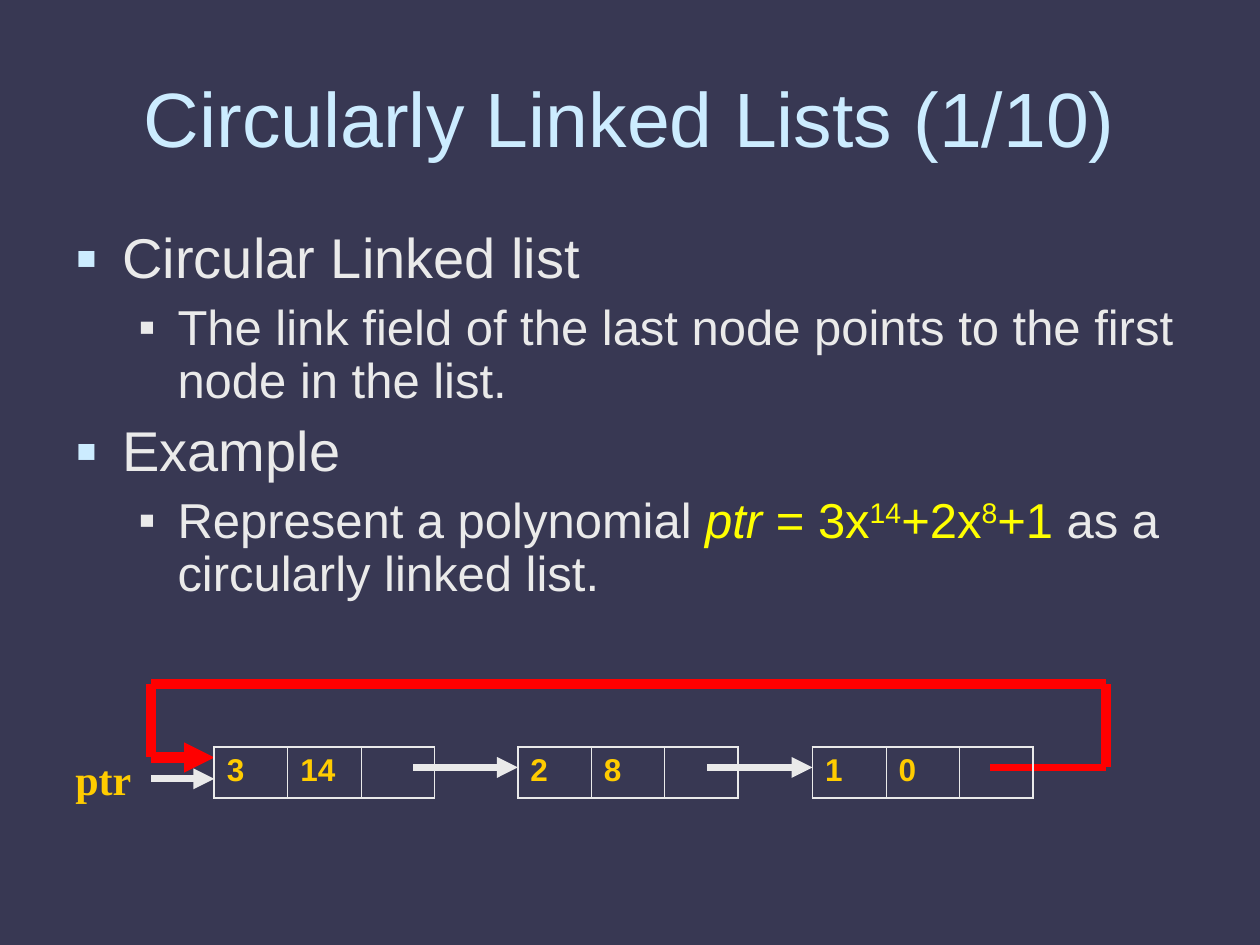
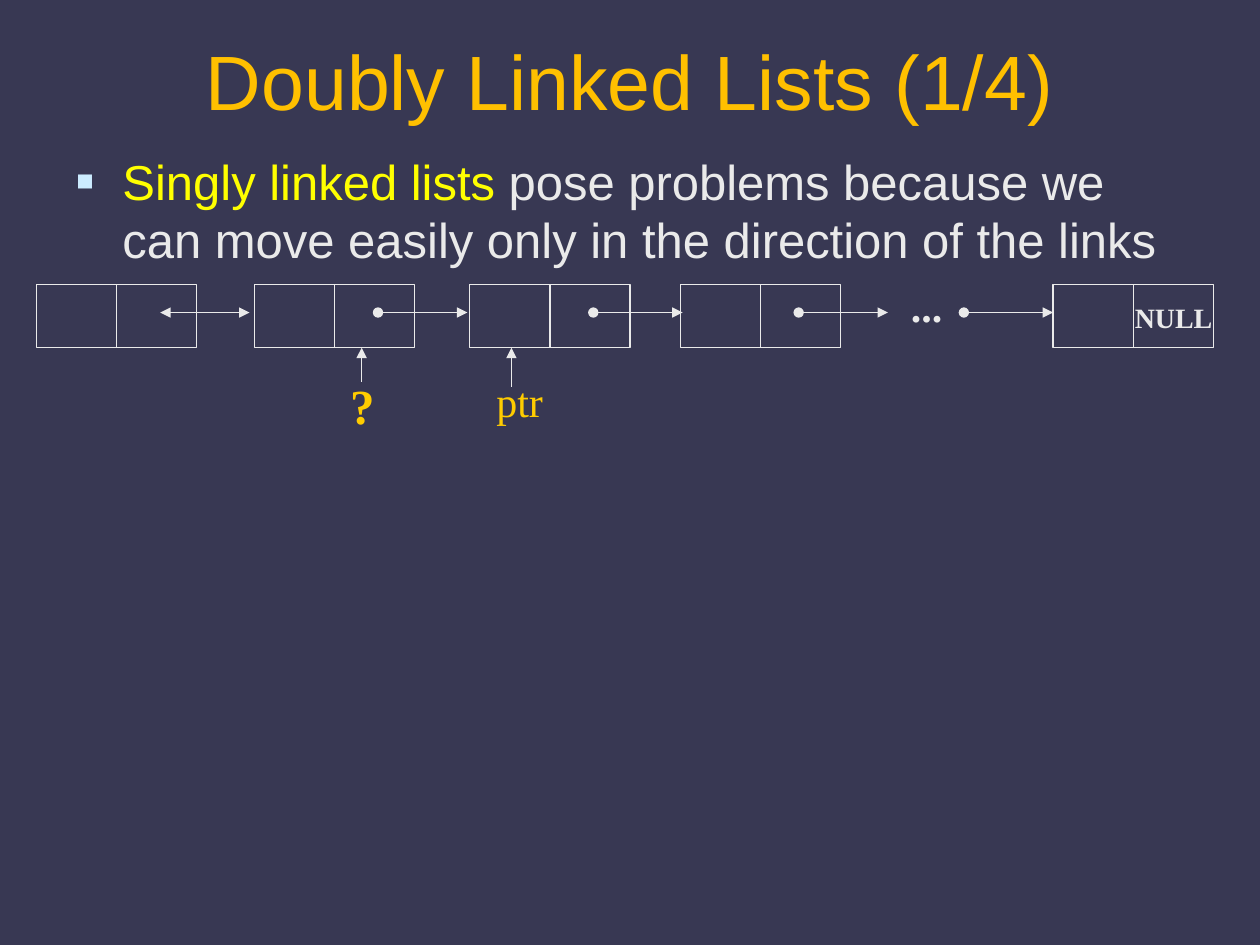
from lxml import etree
from pptx import Presentation
from pptx.dml.color import RGBColor
from pptx.enum.shapes import MSO_CONNECTOR, MSO_SHAPE
from pptx.enum.text import MSO_ANCHOR, PP_ALIGN
from pptx.oxml.ns import qn
from pptx.util import Cm, Pt

STRAIGHT = MSO_CONNECTOR.STRAIGHT
RECTANGLE = MSO_SHAPE.RECTANGLE
MIDDLE = MSO_ANCHOR.MIDDLE
LEFT, CENTER = PP_ALIGN.LEFT, PP_ALIGN.CENTER
TOP_SIDE, BOTTOM_SIDE = 0, 2

COLORS = {
    "background": "383853",
    "title": "CCECFF",
    "title_gold": "FFC000",
    "text": "EAEAEA",
    "highlight": "FFFF00",
    "label": "FFCC00",
    "loop": "FF0000",
}
SANS, SERIF = "Arial", "Times New Roman"

# Indents in cm; bullet size in percent of the text
LEVELS = [
    {"margin": 0.95, "indent": -0.95, "bullet": "title", "percent": 115},
    {"margin": 2.06, "indent": -0.79, "bullet": "text", "percent": 100},
]


def rgb(name):
    return RGBColor.from_string(COLORS[name])


def add_slide(presentation):
    slide = presentation.slides.add_slide(presentation.slide_layouts[6])
    slide.background.fill.solid()
    slide.background.fill.fore_color.rgb = rgb("background")
    return slide


def add_run(paragraph, text, size, color, font=SANS, bold=False, italic=False, raised=False):
    run = paragraph.add_run()
    run.text = text
    run.font.name = font
    run.font.size = Pt(size)
    run.font.bold = bold
    run.font.italic = italic
    run.font.color.rgb = rgb(color)
    if raised:
        run.font._element.set("baseline", "30000")


def add_text_frame(slide, left, top, width, height, wrap=True):
    box = slide.shapes.add_textbox(Cm(left), Cm(top), Cm(width), Cm(height))
    box.text_frame.word_wrap = wrap
    return box.text_frame


def add_title(slide, text, top, height, color):
    frame = add_text_frame(slide, 1.27, top, 22.86, height)
    frame.vertical_anchor = MIDDLE
    paragraph = frame.paragraphs[0]
    paragraph.alignment = CENTER
    add_run(paragraph, text, 44, color)


def set_bullet(paragraph, level):
    style = LEVELS[level]
    properties = paragraph._p.get_or_add_pPr()
    properties.set("marL", str(Cm(style["margin"])))
    properties.set("indent", str(Cm(style["indent"])))
    color = etree.SubElement(properties, qn("a:buClr"))
    etree.SubElement(color, qn("a:srgbClr"), val=COLORS[style["bullet"]])
    etree.SubElement(properties, qn("a:buSzPct"), val=str(style["percent"] * 1000))
    etree.SubElement(properties, qn("a:buFont"), typeface=SANS)
    etree.SubElement(properties, qn("a:buChar"), char="▪")


def add_body(slide, top, height, items, line_spacing=1.0):
    """Each item is (level, size, runs); a run is (text, color, options)."""
    frame = add_text_frame(slide, 1.27, top, 22.86, height)
    for index, (level, size, runs) in enumerate(items):
        paragraph = frame.add_paragraph() if index else frame.paragraphs[0]
        set_bullet(paragraph, level)
        paragraph.line_spacing = line_spacing
        if index:
            paragraph.space_before = Pt(size / 4)
        for text, color, options in runs:
            add_run(paragraph, text, size, color, **options)


def add_label(slide, text, left, top, width, height, size=24, color="label",
              bold=True, alignment=CENTER):
    frame = add_text_frame(slide, left, top, width, height, wrap=False)
    paragraph = frame.paragraphs[0]
    paragraph.alignment = alignment
    add_run(paragraph, text, size, color, SERIF, bold)


def add_line(shapes, start, end, color="text", width=0.75, head=None, tail=None):
    line = shapes.add_connector(STRAIGHT, *map(Cm, start + end))
    line.line.color.rgb = rgb(color)
    line.line.width = Pt(width)
    outline = line.line._get_or_add_ln()
    for tag, kind in (("a:headEnd", head), ("a:tailEnd", tail)):
        if kind:
            etree.SubElement(outline, qn(tag), type=kind)
    etree.SubElement(line._element.spPr, qn("a:effectLst"))
    return line


def set_borders(cell, left, right):
    properties = cell._tc.get_or_add_tcPr()
    widths = (("a:lnL", left), ("a:lnR", right), ("a:lnT", 1.08), ("a:lnB", 1.08))
    for index, (tag, width) in enumerate(widths):
        border = etree.Element(qn(tag), w=str(Pt(width)))
        fill = etree.SubElement(border, qn("a:solidFill"))
        etree.SubElement(fill, qn("a:srgbClr"), val=COLORS["text"])
        properties.insert(index, border)


def add_term_node(slide, left, coefficient, exponent):
    """Table row with coefficient, exponent and an empty link field."""
    values = (coefficient, exponent, "")
    frame = slide.shapes.add_table(1, 3, Cm(left), Cm(15.06), Cm(4.44), Cm(1.02))
    table = frame.table
    table.first_row = table.horz_banding = False
    for index, value in enumerate(values):
        table.columns[index].width = Cm(1.48)
        cell = table.cell(0, index)
        cell.fill.background()
        set_borders(cell, 0.45 if index else 1.08, 1.08 if index == 2 else 0.45)
        paragraph = cell.text_frame.paragraphs[0]
        paragraph.font.size = Pt(18)
        if value:
            add_run(paragraph, value, 18, "label", bold=True)


def add_split_node(slide, left):
    """Outlined box halved by a divider."""
    group = slide.shapes.add_group_shape()
    box = group.shapes.add_shape(RECTANGLE, Cm(left), Cm(5.74), Cm(3.23), Cm(1.27))
    box.shadow.inherit = False
    box.fill.background()
    box.line.color.rgb = rgb("text")
    box.line.width = Pt(0.75)
    middle = left + 3.23 / 2
    divider = add_line(group.shapes, (middle, 5.74), (middle, 7.01))
    divider.begin_connect(box, TOP_SIDE)
    divider.end_connect(box, BOTTOM_SIDE)


def build_circular_slide(presentation):
    slide = add_slide(presentation)
    add_title(slide, "Circularly Linked Lists (1/10)", 0.76, 3.18, "title")
    add_body(slide, 4.52, 8.2, [
        (0, 32, [("Circular Linked list", "text", {})]),
        (1, 28, [("The link field of the last node points to the first node in the list.",
                  "text", {})]),
        (0, 32, [("Example", "text", {})]),
        (1, 28, [
            ("Represent a polynomial ", "text", {}),
            ("ptr", "highlight", {"italic": True}),
            (" = 3x", "highlight", {}),
            ("14", "highlight", {"raised": True}),
            ("+2x", "highlight", {}),
            ("8", "highlight", {"raised": True}),
            ("+1 ", "highlight", {}),
            ("as a circularly linked list.", "text", {}),
        ]),
    ], line_spacing=0.9)

    # Links between neighbouring nodes
    for start, end in ((8.33, 10.44), (14.25, 16.38)):
        add_line(slide.shapes, (start, 15.47), (end, 15.47), width=4, tail="triangle")

    # Loop from the last node back to the first
    corners = [(19.96, 15.47), (22.3, 15.47), (22.3, 13.79),
               (3.05, 13.79), (3.05, 15.27), (4.32, 15.27)]
    for index, (start, end) in enumerate(zip(corners, corners[1:])):
        add_line(slide.shapes, start, end, "loop", 5.75 if index else 4.25,
                 tail="triangle" if end == corners[-1] else None)

    # Entry pointer and nodes
    add_line(slide.shapes, (3.05, 15.7), (4.32, 15.7), width=4, tail="triangle")
    add_label(slide, "ptr", 1.27, 15.06, 1.78, 1.27, alignment=LEFT)
    for node in ((4.32, "3", "14"), (10.44, "2", "8"), (16.38, "1", "0")):
        add_term_node(slide, *node)


def build_doubly_slide(presentation):
    slide = add_slide(presentation)
    add_title(slide, "Doubly Linked Lists (1/4)", 0.53, 2.16, "title_gold")
    add_body(slide, 2.92, 15.6, [
        (0, 28, [
            ("Singly linked lists", "highlight", {}),
            (" pose problems because we can move easily only in the direction of the links",
             "text", {}),
        ]),
    ])

    # Chain of nodes and links
    for left in (0.74, 5.13, 9.47, 13.72, 21.23):
        add_split_node(slide, left)
    for index, start in enumerate((3.23, 7.62, 11.96, 16.1, 19.43)):
        add_line(slide.shapes, (start, 6.3), (start + 1.8, 6.3),
                 head="oval" if index else "triangle", tail="triangle")
    add_label(slide, "...", 18.11, 5.54, 1.14, 1.27, color="text")
    add_label(slide, "NULL", 22.38, 5.94, 2.56, 0.94, size=16, color="text")

    # Pointers below the chain
    for x, bottom in ((10.31, 7.8), (7.29, 7.7)):
        add_line(slide.shapes, (x, bottom), (x, 7.01), tail="triangle")
    add_label(slide, "ptr", 9.75, 7.44, 1.45, 1.27, bold=False)
    add_label(slide, "?", 6.81, 7.44, 0.99, 1.45, size=28)


def main():
    presentation = Presentation()
    presentation.slide_width = Cm(25.4)
    presentation.slide_height = Cm(19.05)
    build_circular_slide(presentation)
    build_doubly_slide(presentation)
    presentation.save("out.pptx")


if __name__ == "__main__":
    main()
